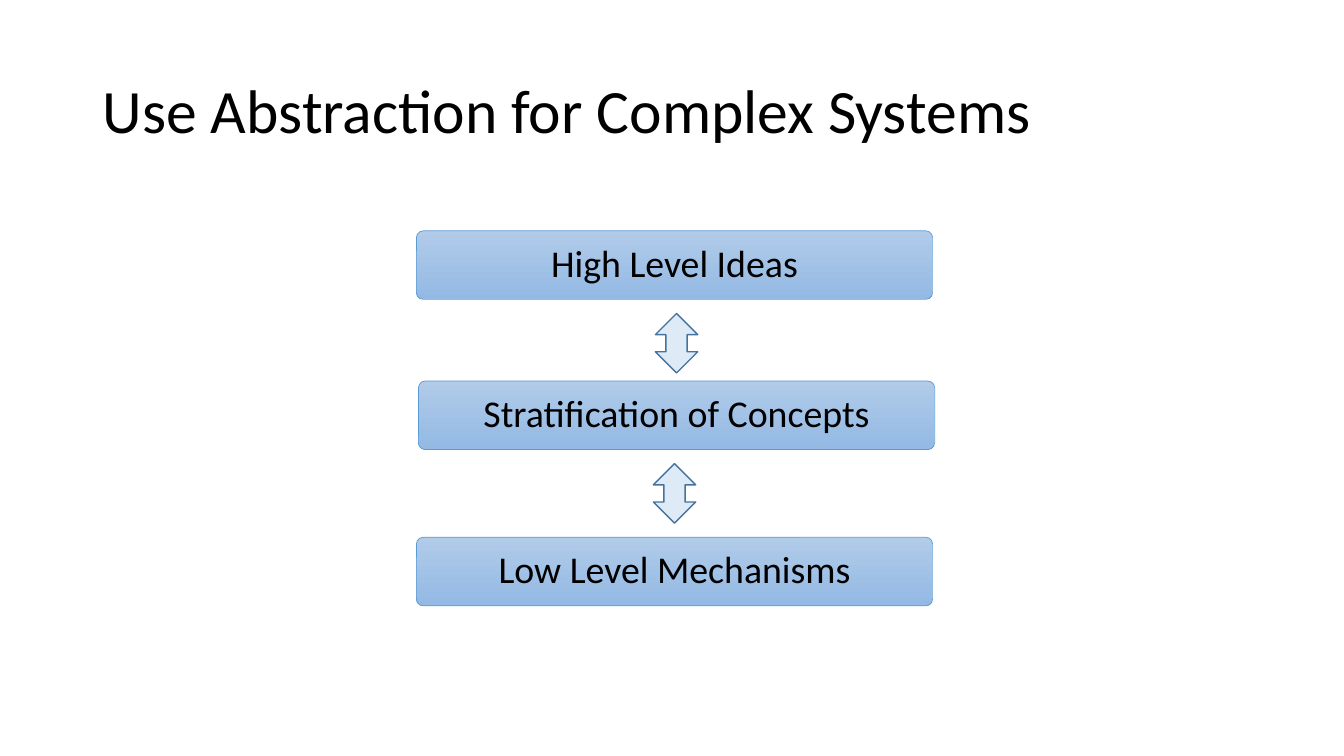
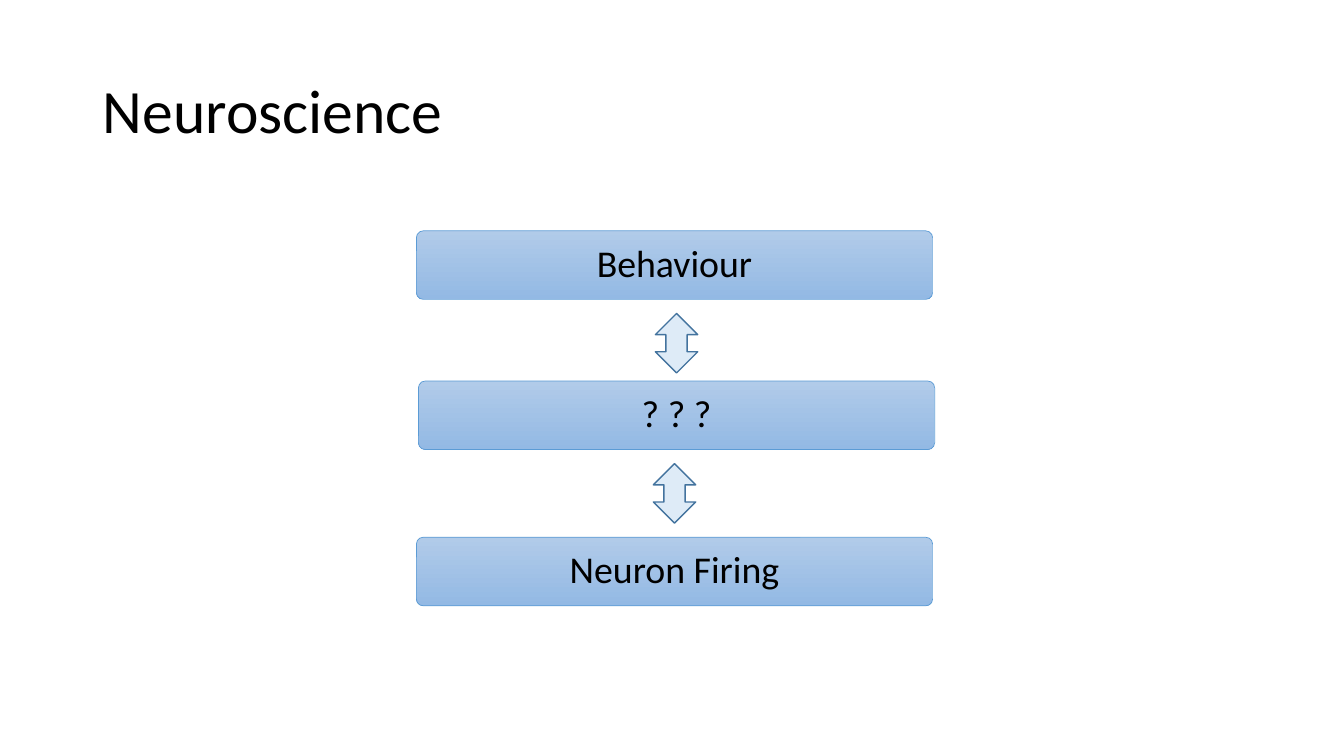
"""Build two slides that each show three linked levels of abstraction."""

from dataclasses import dataclass

from pptx import Presentation
from pptx.dml.color import RGBColor
from pptx.enum.shapes import MSO_SHAPE
from pptx.enum.text import MSO_ANCHOR, MSO_AUTO_SIZE, PP_ALIGN
from pptx.presentation import Presentation as Deck
from pptx.shapes.autoshape import Shape
from pptx.slide import Slide
from pptx.util import Emu, Pt

ROUNDED = MSO_SHAPE.ROUNDED_RECTANGLE
DOUBLE_ARROW = MSO_SHAPE.UP_DOWN_ARROW
MIDDLE = MSO_ANCHOR.MIDDLE
NO_FIT = MSO_AUTO_SIZE.NONE
LEFT = PP_ALIGN.LEFT
CENTER = PP_ALIGN.CENTER

BLACK = RGBColor(0x00, 0x00, 0x00)
LEVEL_TOP = RGBColor(0xB1, 0xCB, 0xE9)
LEVEL_BOTTOM = RGBColor(0x93, 0xB9, 0xE4)
LEVEL_LINE = RGBColor(0x5B, 0x9B, 0xD5)
ARROW_FILL = RGBColor(0xDE, 0xEB, 0xF7)
ARROW_LINE = RGBColor(0x43, 0x73, 0x9E)

FONT = "Calibri"
EMU_PER_PX = 9144
TITLE_ONLY = 5
DOWNWARD = 270


@dataclass(frozen=True)
class Area:
    left: int
    top: int
    width: int
    height: int

    def emu(self) -> tuple[Emu, Emu, Emu, Emu]:
        return px(self.left), px(self.top), px(self.width), px(self.height)


@dataclass(frozen=True)
class Stack:
    title: str
    levels: tuple[str, str, str]


TITLE_AREA = Area(92, 40, 1150, 145)
LEVEL_AREAS = tuple(
    Area(left, top, 512, 68) for left, top in ((413, 229), (415, 378), (413, 533))
)
ARROW_AREAS = tuple(Area(left, top, 42, 59) for left, top in ((650, 311), (648, 460)))

STACKS = (
    Stack(
        "Use Abstraction for Complex Systems",
        ("High Level Ideas", "Stratification of Concepts", "Low Level Mechanisms"),
    ),
    Stack("Neuroscience", ("Behaviour", "? ? ?", "Neuron Firing")),
)


def px(length: int) -> Emu:
    return Emu(length * EMU_PER_PX)


def write_text(
    shape: Shape, text: str, *, size: int, align: PP_ALIGN, inset: int = 10
) -> None:
    frame = shape.text_frame
    frame.word_wrap = True
    frame.auto_size = NO_FIT
    frame.vertical_anchor = MIDDLE
    frame.margin_left = frame.margin_right = px(inset)
    para = frame.paragraphs[0]
    para.alignment = align
    para.line_spacing = 0.9
    span = para.add_run()
    span.text = text
    span.font.name = FONT
    span.font.size = Pt(size)
    span.font.color.rgb = BLACK


def add_outlined(
    page: Slide, kind: MSO_SHAPE, area: Area, *, line: RGBColor, weight: float
) -> Shape:
    shape = page.shapes.add_shape(kind, *area.emu())
    shape.shadow.inherit = False
    shape.line.color.rgb = line
    shape.line.width = Pt(weight)
    return shape


def add_level(page: Slide, area: Area, text: str) -> None:
    box = add_outlined(page, ROUNDED, area, line=LEVEL_LINE, weight=0.5)
    box.adjustments[0] = 0.1
    box.fill.gradient()
    box.fill.gradient_angle = DOWNWARD
    for stop, color in zip(box.fill.gradient_stops, (LEVEL_TOP, LEVEL_BOTTOM)):
        stop.color.rgb = color
    write_text(box, text, size=27, align=CENTER, inset=13)


def add_arrow(page: Slide, area: Area) -> None:
    arrow = add_outlined(page, DOUBLE_ARROW, area, line=ARROW_LINE, weight=1)
    arrow.fill.solid()
    arrow.fill.fore_color.rgb = ARROW_FILL


def add_stack_page(deck: Deck, stack: Stack) -> None:
    page = deck.slides.add_slide(deck.slide_layouts[TITLE_ONLY])
    title = page.shapes.title
    title.left, title.top, title.width, title.height = TITLE_AREA.emu()
    write_text(title, stack.title, size=44, align=LEFT)
    for area, text in zip(LEVEL_AREAS, stack.levels):
        add_level(page, area, text)
    for area in ARROW_AREAS:
        add_arrow(page, area)


def main() -> None:
    deck = Presentation()
    deck.slide_width, deck.slide_height = px(1333), px(750)
    for stack in STACKS:
        add_stack_page(deck, stack)
    deck.save("out.pptx")


if __name__ == "__main__":
    main()
